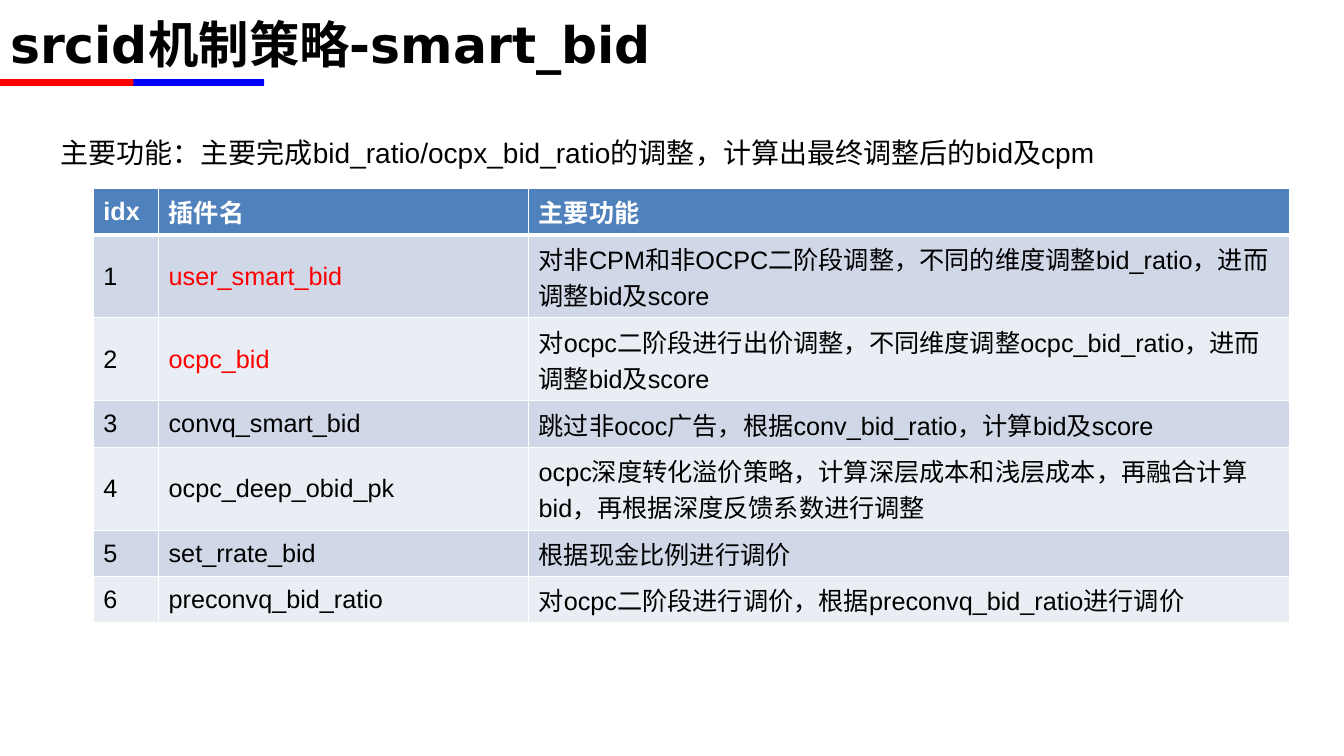
from lxml import etree
from pptx import Presentation
from pptx.dml.color import RGBColor
from pptx.enum.shapes import MSO_SHAPE
from pptx.enum.text import MSO_ANCHOR, MSO_AUTO_SIZE, PP_ALIGN
from pptx.oxml.ns import qn
from pptx.util import Inches, Pt

RECTANGLE = MSO_SHAPE.RECTANGLE
MIDDLE = MSO_ANCHOR.MIDDLE
NO_FIT = MSO_AUTO_SIZE.NONE
LEFT = PP_ALIGN.LEFT
TITLE_ONLY = 5

BLACK, WHITE, RED, BLUE = "000000", "FFFFFF", "FF0000", "0000FF"
HEADER_FILL = "4F81BD"
BAND_FILLS = ("D0D8E8", "E9EDF4")
ONE_LINE, TWO_LINES = 6.14, 10.98

HEADINGS = ("idx", "插件名", "主要功能")
PLUGINS = (
    ("user_smart_bid", "对非CPM和非OCPC二阶段调整，不同的维度调整bid_ratio，进而调整bid及score"),
    ("ocpc_bid", "对ocpc二阶段进行出价调整，不同维度调整ocpc_bid_ratio，进而调整bid及score"),
    ("convq_smart_bid", "跳过非ococ广告，根据conv_bid_ratio，计算bid及score"),
    ("ocpc_deep_obid_pk", "ocpc深度转化溢价策略，计算深层成本和浅层成本，再融合计算bid，再根据深度反馈系数进行调整"),
    ("set_rrate_bid", "根据现金比例进行调价"),
    ("preconvq_bid_ratio", "对ocpc二阶段进行调价，根据preconvq_bid_ratio进行调价"),
)
HIGHLIGHTED = ("user_smart_bid", "ocpc_bid")
ROW_HEIGHTS = (ONE_LINE, TWO_LINES, TWO_LINES, ONE_LINE, TWO_LINES, ONE_LINE, ONE_LINE)


def colour(value):
    return RGBColor.from_string(value)


def write(frame, text, size=18, font="Arial", fill=BLACK, bold=False, spacing=None, indent=0):
    para = frame.paragraphs[0]
    para.alignment = LEFT
    if spacing:
        para.line_spacing = spacing
    if indent:
        para._p.get_or_add_pPr().set("marL", str(Inches(indent)))
    span = para.add_run()
    span.text = text
    span.font.size = Pt(size)
    span.font.name = font
    span.font.bold = bold
    span.font.color.rgb = colour(fill)


def add_borders(cell, bottom):
    properties = cell._tc.get_or_add_tcPr()
    for side, width in (("L", 1), ("R", 1), ("T", 1), ("B", bottom)):
        line = etree.SubElement(properties, qn(f"a:ln{side}"), w=str(Pt(width)))
        solid = etree.SubElement(line, qn("a:solidFill"))
        etree.SubElement(solid, qn("a:srgbClr"), val=WHITE)


class SlideBuilder:
    """Places styled elements on a slide, with lengths in percent of its size."""

    def __init__(self, deck):
        self.width, self.height = deck.slide_width, deck.slide_height
        self.page = deck.slides.add_slide(deck.slide_layouts[TITLE_ONLY])

    def across(self, share):
        return round(self.width * share / 100)

    def down(self, share):
        return round(self.height * share / 100)

    def area(self, left, top, width, height):
        return self.across(left), self.down(top), self.across(width), self.down(height)

    def title(self, text, *place):
        box = self.page.shapes.title
        box.left, box.top, box.width, box.height = self.area(*place)
        frame = box.text_frame
        frame.auto_size = NO_FIT
        frame.vertical_anchor = MIDDLE
        write(frame, text, size=36, font="DejaVu Sans", bold=True)

    def bar(self, fill, *place):
        box = self.page.shapes.add_shape(RECTANGLE, *self.area(*place))
        box.shadow.inherit = False
        box.fill.solid()
        box.fill.fore_color.rgb = colour(fill)
        box.line.fill.background()

    def text(self, text, *place, **style):
        frame = self.page.shapes.add_textbox(*self.area(*place)).text_frame
        frame.word_wrap = True
        write(frame, text, **style)

    def table(self, rows, left, top, widths, heights):
        place = self.area(left, top, sum(widths), sum(heights))
        table = self.page.shapes.add_table(len(rows), len(widths), *place).table
        for column, width in zip(table.columns, widths):
            column.width = self.across(width)
        for row_index, (values, height) in enumerate(zip(rows, heights)):
            table.rows[row_index].height = self.down(height)
            for column_index, value in enumerate(values):
                self.cell(table.cell(row_index, column_index), value, row_index)

    def cell(self, cell, value, row_index):
        header = row_index == 0
        ink = WHITE if header else RED if value in HIGHLIGHTED else BLACK
        add_borders(cell, bottom=3 if header else 1)
        cell.fill.solid()
        cell.fill.fore_color.rgb = colour(HEADER_FILL if header else BAND_FILLS[(row_index - 1) % 2])
        cell.vertical_anchor = MIDDLE
        write(cell.text_frame, value, fill=ink, bold=header)


def main():
    deck = Presentation()
    deck.slide_width, deck.slide_height = Inches(13.33), Inches(7.5)
    slide = SlideBuilder(deck)
    slide.bar(RED, 0, 10.45, 19.43, 0.93)
    slide.bar(BLUE, 9.93, 10.45, 9.72, 0.93)
    slide.title("srcid机制策略-smart_bid", 0, 0, 90, 11.5)
    slide.text("主要功能：主要完成bid_ratio/ocpx_bid_ratio的调整，计算出最终调整后的bid及cpm",
               0, 15, 100, 85, size=20, spacing=1.5, indent=0.5)
    rows = [HEADINGS] + [(str(number), *plugin) for number, plugin in enumerate(PLUGINS, 1)]
    slide.table(rows, 6.95, 24.93, (4.85, 27.53, 56.64), ROW_HEIGHTS)
    deck.save("out.pptx")


if __name__ == "__main__":
    main()
